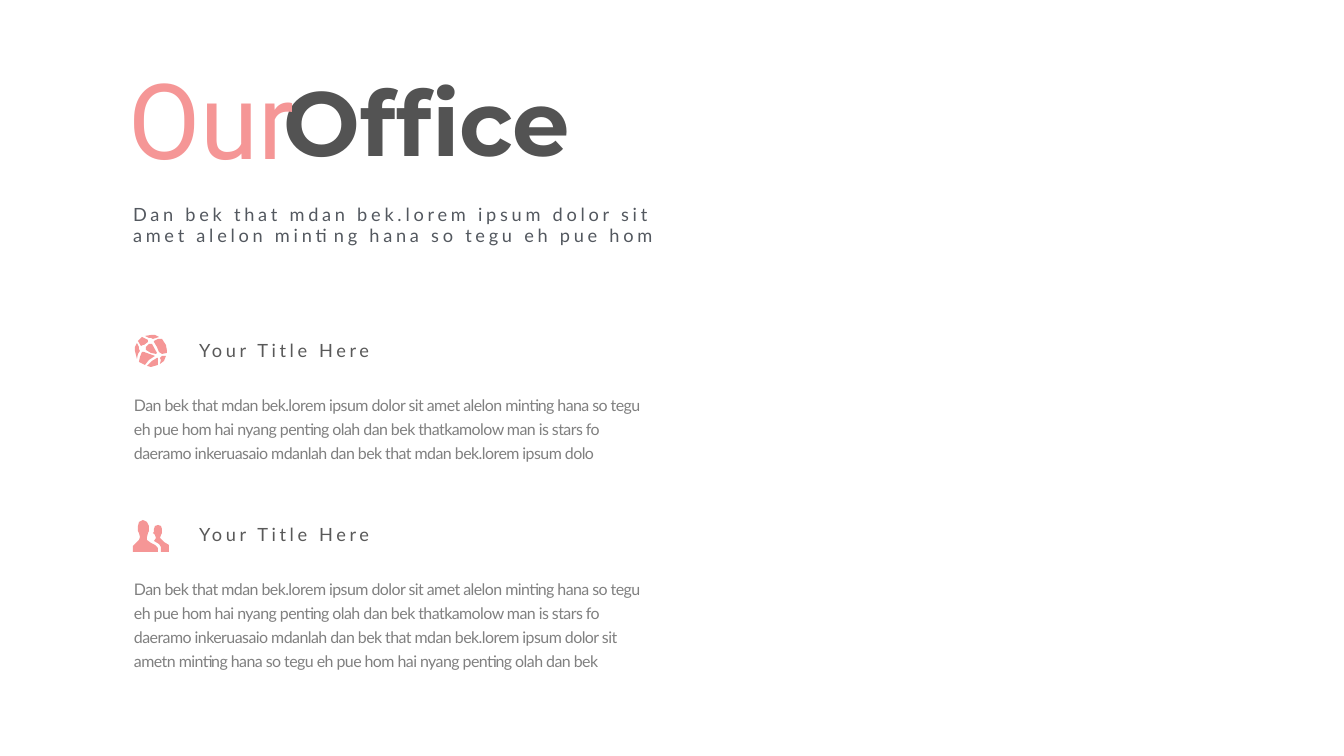
import pptx
import pptx.util
from pptx.dml.color import RGBColor
from pptx.enum.text import MSO_ANCHOR, MSO_AUTO_SIZE, PP_ALIGN

PX = 9071
SLIDE_SIZE = (1344, 756)
COLORS = {"accent": "F59696", "title": "535353", "intro": "53585F",
          "heading": "595959", "body": "808080"}

STYLES = {
    "title": dict(font="Montserrat", size=65, color="title", bold=True),
    "accent": dict(font="Roboto", size=75, color="accent"),
    "intro": dict(font="Lato", size=13, color="intro", spacing=270, line=15),
    "heading": dict(font="Lato", size=13, color="heading", spacing=260),
    "body": dict(font="Lato", size=11.4, color="body", spacing=-40, line=17,
                 margins=(10, 5)),
}

INTRO = ["Dan bek that mdan bek.lorem ipsum dolor sit",
         "amet alelon minting hana so tegu eh pue hom"]
SHARED_TEXT = ("Dan bek that mdan bek.lorem ipsum dolor sit amet alelon minting hana so tegu "
               "eh pue hom hai nyang penting olah dan bek thatkamolow man is stars fo "
               "daeramo inkeruasaio mdanlah dan bek that mdan bek.lorem ipsum ")

GLOBE = [
    [(22, 23), (17, 26), (12, 31), (16, 32), (23, 30), (23, 25), (23, 23)],
    [(27, 4), (23, 4), (19, 6), (19, 7), (22, 12), (24, 17), (27, 19), (32, 18),
     (32, 16), (31, 10)],
    [(20, 21), (9, 17), (7, 17), (5, 22), (4, 27), (10, 30), (14, 25)],
    [(25, 23), (26, 25), (25, 29), (29, 26), (31, 21), (27, 21)],
    [(21, 19), (22, 18), (17, 9), (14, 9), (11, 12), (11, 15), (16, 18)],
    [(16, 3), (18, 4), (24, 2), (20, 0), (16, 0), (10, 1), (14, 3)],
    [(4, 14), (4, 12), (2, 8), (0, 12), (0, 16), (2, 24), (3, 19), (5, 16)],
    [(8, 10), (9, 10), (13, 7), (13, 5), (7, 2), (3, 6), (6, 11)],
]
PEOPLE = [
    [(18, 23), (14, 20), (14, 17), (15, 13), (16, 11), (16, 6), (14, 2), (10, 0),
     (6, 2), (5, 6), (5, 11), (6, 13), (7, 17), (6, 20), (3, 23), (0, 26),
     (0, 32), (25, 32), (25, 28), (22, 25)],
    [(36, 32), (36, 25), (31, 22), (27, 18), (28, 15), (29, 13), (29, 9), (28, 6),
     (25, 5), (22, 6), (21, 9), (21, 12), (20, 13), (22, 15), (23, 18), (21, 21),
     (26, 24), (28, 27), (28, 32)],
]

SECTIONS = [
    ("Your Title Here", SHARED_TEXT + "dolo", 83, GLOBE, (135, 335)),
    ("Your Title Here",
     SHARED_TEXT + "dolor sit ametn minting hana so tegu eh pue hom hai nyang penting olah dan bek",
     104, PEOPLE, (133, 520)),
]
SECTION_TOP, SECTION_PITCH, BODY_OFFSET = 336, 184, 50


def color(name):
    return RGBColor.from_string(COLORS[name])


def fill_text(shape, box, lines, style_name):
    style = STYLES[style_name]
    shape.left, shape.top, shape.width, shape.height = [value * PX for value in box]
    frame = shape.text_frame
    frame.text = "\n".join(lines)
    frame.word_wrap = True
    frame.auto_size = MSO_AUTO_SIZE.NONE
    frame.vertical_anchor = MSO_ANCHOR.TOP
    across, down = style.get("margins", (3, 3))
    frame.margin_left = frame.margin_right = across * PX
    frame.margin_top = frame.margin_bottom = down * PX
    for paragraph in frame.paragraphs:
        paragraph.alignment = PP_ALIGN.LEFT
        if "line" in style:
            paragraph.line_spacing = pptx.util.Pt(style["line"])
        for run in paragraph.runs:
            run.font.name = style["font"]
            run.font.size = pptx.util.Pt(style["size"])
            run.font.bold = style.get("bold", False)
            run.font.color.rgb = color(style["color"])
            if "spacing" in style:
                run.font._element.set("spc", str(style["spacing"]))


def add_text(slide, box, lines, style_name):
    fill_text(slide.shapes.add_textbox(0, 0, 0, 0), box, lines, style_name)


def add_icon(slide, outlines, left, top):
    builder = slide.shapes.build_freeform(*outlines[0][0], scale=PX)
    for outline in outlines:
        builder.move_to(*outline[0])
        builder.add_line_segments(outline[1:], close=True)
    icon = builder.convert_to_shape(left * PX, top * PX)
    icon.shadow.inherit = False
    icon.fill.solid()
    icon.fill.fore_color.rgb = color("accent")
    icon.line.fill.background()


def main():
    presentation = pptx.Presentation()
    presentation.slide_width, presentation.slide_height = [side * PX for side in SLIDE_SIZE]
    slide = presentation.slides.add_slide(presentation.slide_layouts[5])
    fill_text(slide.shapes.title, (281, 62, 311, 116), ["Office"], "title")
    add_text(slide, (125, 51, 196, 133), ["Our"], "accent")
    add_text(slide, (130, 201, 659, 48), INTRO, "intro")
    for index, (heading, body, height, outlines, place) in enumerate(SECTIONS):
        top = SECTION_TOP + index * SECTION_PITCH
        add_icon(slide, outlines, *place)
        add_text(slide, (196, top, 273, 27), [heading], "heading")
        add_text(slide, (124, top + BODY_OFFSET, 527, height), [body], "body")
    presentation.save("out.pptx")


if __name__ == "__main__":
    main()
